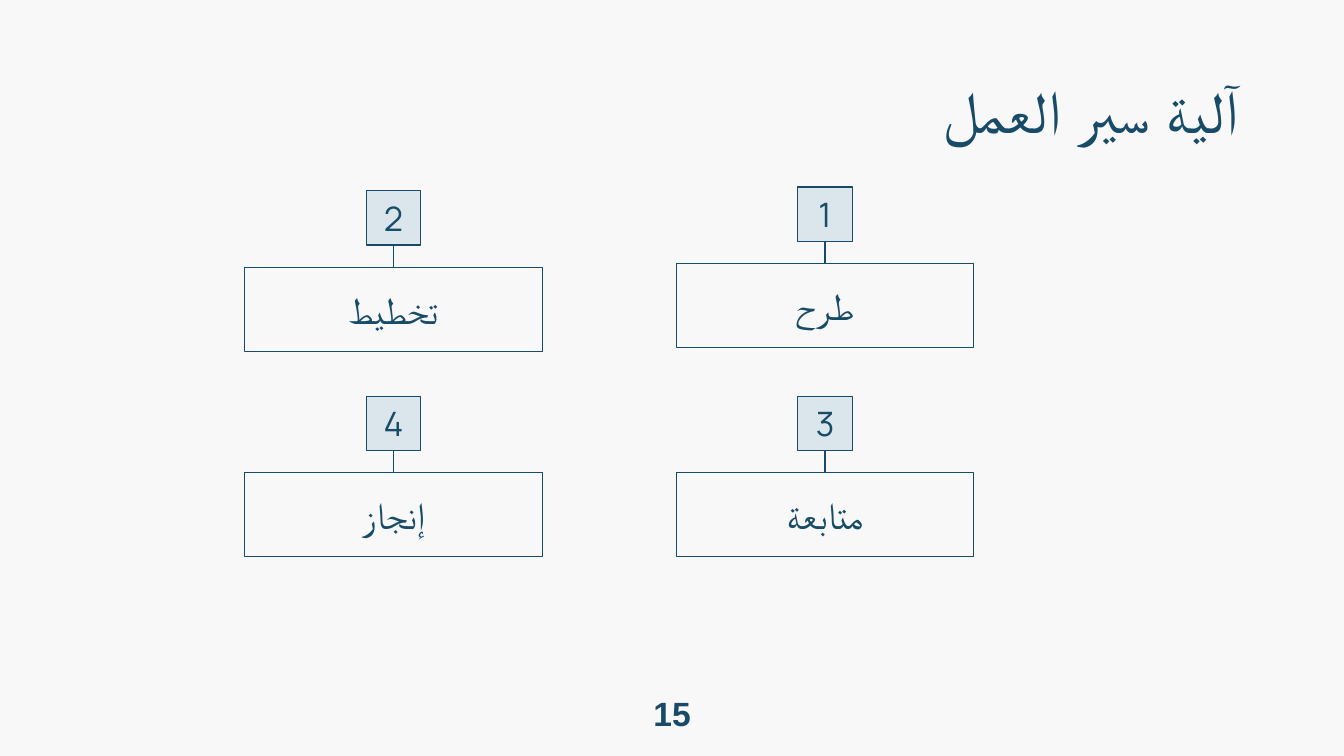
from dataclasses import dataclass

from pptx import Presentation
from pptx.dml.color import RGBColor
from pptx.enum.shapes import MSO_CONNECTOR, MSO_SHAPE
from pptx.enum.text import MSO_ANCHOR, MSO_AUTO_SIZE, PP_ALIGN
from pptx.oxml.ns import qn
from pptx.util import Pt
from lxml.etree import SubElement


@dataclass(frozen=True)
class Theme:
    """Colours, fonts and sizes of the slide."""
    ink: RGBColor = RGBColor(0x17, 0x4B, 0x67)
    tint: RGBColor = RGBColor(0xDA, 0xE6, 0xEC)
    back: RGBColor = RGBColor(0xF8, 0xF8, 0xF8)
    font: str = "Arial"
    digit: str = "Manrope"
    head: float = 32
    label: float = 20
    num: float = 18
    inset: float = 7.2
    line: float = 0.75


class Deck:
    """Holds the theme and the current slide."""

    def __init__(self, theme):
        """Start a deck with one title-only slide."""
        self.theme = theme
        self.deck = Presentation()
        self.deck.slide_width, self.deck.slide_height = Pt(720), Pt(405)
        self.slide = self.deck.slides.add_slide(self.deck.slide_layouts[5])
        fill = self.slide.background.fill
        fill.solid()
        fill.fore_color.rgb = theme.back

    def label(self, shape, text, size, font, align=PP_ALIGN.CENTER,
              anchor=MSO_ANCHOR.MIDDLE, bold=False, rtl=False):
        """Fill a shape with one styled run."""
        frame = shape.text_frame
        frame.word_wrap = True
        frame.auto_size = MSO_AUTO_SIZE.NONE
        frame.vertical_anchor = anchor
        frame.margin_left = frame.margin_right = Pt(self.theme.inset)
        frame.margin_top = frame.margin_bottom = Pt(self.theme.inset)
        para = frame.paragraphs[0]
        para.alignment = align
        run = para.add_run()
        run.text = text
        run.font.size = Pt(size)
        run.font.name = font
        run.font.bold = bold
        run.font.color.rgb = self.theme.ink
        if rtl:
            para._p.get_or_add_pPr().set("rtl", "1")
            SubElement(run._r.get_or_add_rPr(), qn("a:cs"), typeface=font)

    def title(self, text, x, y, w, h):
        """Place and fill the title."""
        shape = self.slide.shapes.title
        shape.left, shape.top, shape.width, shape.height = map(Pt, (x, y, w, h))
        self.label(shape, text, self.theme.head, self.theme.font,
                   PP_ALIGN.RIGHT, MSO_ANCHOR.TOP, rtl=True)

    def page(self, text, x, y, w, h):
        """Add the page number."""
        shape = self.slide.shapes.add_textbox(*map(Pt, (x, y, w, h)))
        self.label(shape, text, self.theme.num, self.theme.font, bold=True)

    def box(self, x, y, w, h, fill=None):
        """Add an outlined rectangle."""
        shape = self.slide.shapes.add_shape(
            MSO_SHAPE.RECTANGLE, *map(Pt, (x, y, w, h)))
        shape.shadow.inherit = False
        if fill is None:
            shape.fill.background()
        else:
            shape.fill.solid()
            shape.fill.fore_color.rgb = fill
        shape.line.color.rgb = self.theme.ink
        shape.line.width = Pt(self.theme.line)
        return shape

    def link(self, top, low):
        """Join the bottom of one box to the top of another."""
        line = self.slide.shapes.add_connector(MSO_CONNECTOR.STRAIGHT, 0, 0, 0, 0)
        line.begin_connect(top, 2)
        line.end_connect(low, 0)
        line.line.color.rgb = self.theme.ink
        line.line.width = Pt(self.theme.line)
        SubElement(line._element.spPr, qn("a:effectLst"))

    def step(self, num, text, mid, y):
        """Add a numbered step centred on mid."""
        theme = self.theme
        wide, tall, side, drop = 159.4, 45, 29.2, 41
        base = self.box(mid - wide / 2, y + drop, wide, tall)
        self.label(base, text, theme.label, theme.font, rtl=True)
        badge = self.box(mid - side / 2, y, side, side, theme.tint)
        self.label(badge, str(num), theme.num, theme.digit)
        self.link(badge, base)


def main():
    """Build and save the slide."""
    deck = Deck(Theme())
    deck.page("15", 335.5, 364.5, 49, 34.5)
    deck.title("آلية سير العمل", 64, 32.4, 607, 41)
    right, left, low = 442, 210.8, 212.3
    steps = (("طرح", right, 100.2), ("تخطيط", left, 102.2),
             ("متابعة", right, low), ("إنجاز", left, low))
    for num, (text, mid, y) in enumerate(steps, 1):
        deck.step(num, text, mid, y)
    deck.deck.save("out.pptx")


if __name__ == "__main__":
    main()
